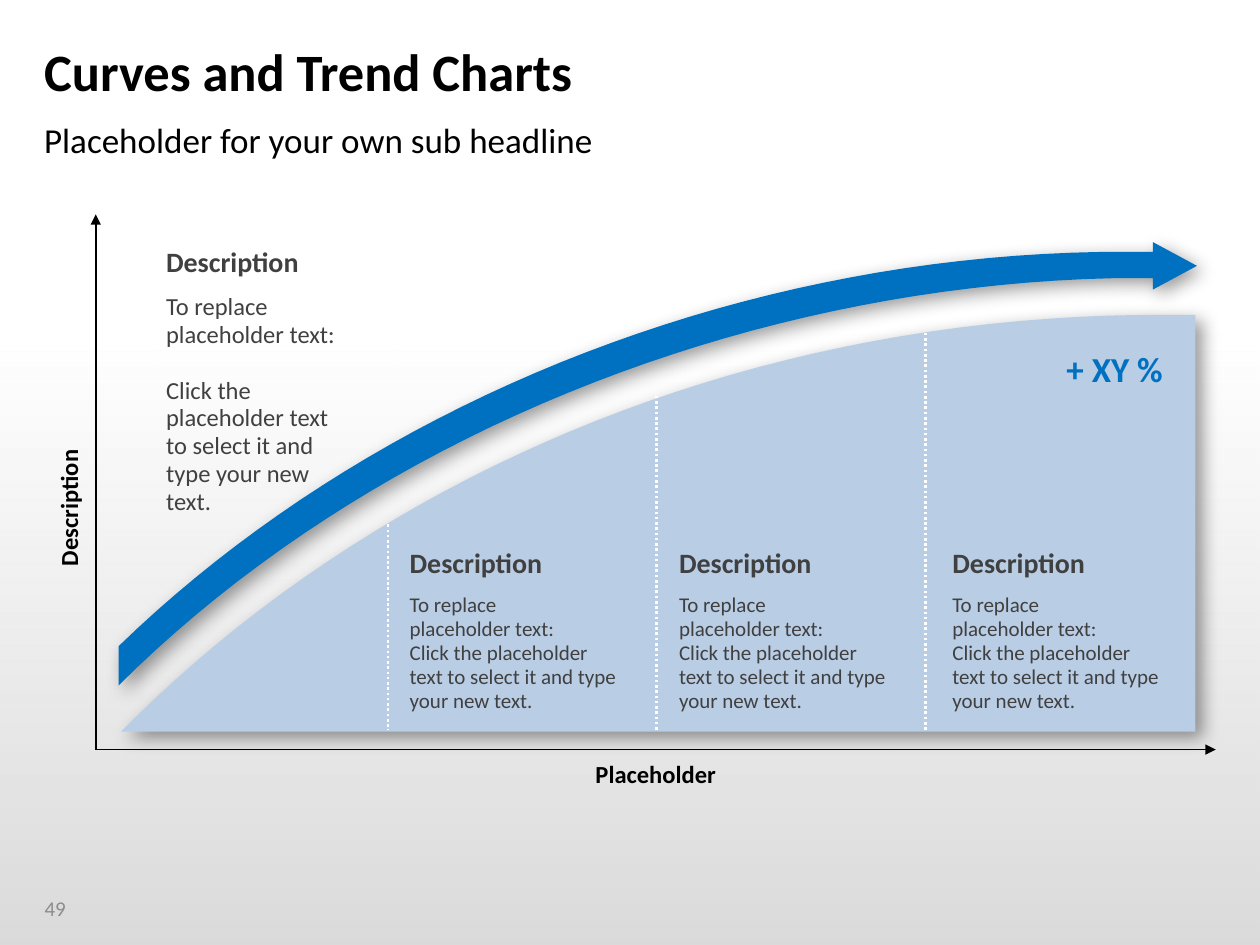
from copy import deepcopy
from dataclasses import dataclass

from lxml.etree import SubElement
from pptx import Presentation
from pptx.dml.color import RGBColor
from pptx.enum.dml import MSO_LINE
from pptx.enum.shapes import MSO_CONNECTOR, MSO_SHAPE
from pptx.enum.text import MSO_ANCHOR, MSO_AUTO_SIZE, PP_ALIGN
from pptx.oxml.ns import qn
from pptx.util import Cm, Pt


@dataclass(frozen=True)
class Theme:
    font: str = "Calibri"
    black: str = "000000"
    white: str = "FFFFFF"
    text: str = "404040"
    grey: str = "8C8C8C"
    blue: str = "0070C0"
    pale: str = "B9CDE5"
    title: int = 30
    sub: int = 20
    head: int = 16
    body: int = 14
    small: int = 12


THEME = Theme()
HINT = ("To replace \vplaceholder text: \v"
        "Click the placeholder text to select it and type your new text.")


def rgb(code):
    return RGBColor.from_string(code)


def write(frame, text, size=THEME.body, color=THEME.black, bold=False,
          align=PP_ALIGN.LEFT, space=0.95, after=8, first=True):
    """Write one paragraph with its format."""
    para = frame.paragraphs[0] if first else frame.add_paragraph()
    para.text = text
    para.alignment, para.line_spacing = align, space
    para.space_before, para.space_after = Pt(0), Pt(after)
    for run in para.runs:
        font = run.font
        font.name, font.size, font.bold = THEME.font, Pt(size), bold
        font.color.rgb = rgb(color)
    # Line breaks take the same format as the text around them
    for brk in para._p.findall(qn("a:br")):
        brk.insert(0, deepcopy(para.runs[0]._r.rPr))
    return para


def setup(shape, anchor=MSO_ANCHOR.MIDDLE):
    """Wrap the text of a shape and take away its margins."""
    frame = shape.text_frame
    frame.word_wrap, frame.auto_size = True, MSO_AUTO_SIZE.NONE
    frame.vertical_anchor = anchor
    frame.margin_left = frame.margin_right = 0
    frame.margin_top = frame.margin_bottom = 0
    return frame


def place(shape, left, top, width, height):
    shape.left, shape.top = Cm(left), Cm(top)
    shape.width, shape.height = Cm(width), Cm(height)


def label(slide, box, text, turn=0, **form):
    shape = slide.shapes.add_textbox(*map(Cm, box))
    shape.rotation = turn
    write(setup(shape), text, **form)


def note(slide, box, anchor, size):
    """Draw a heading with the hint below it."""
    frame = setup(slide.shapes.add_textbox(*map(Cm, box)), anchor)
    write(frame, "Description", size=THEME.head, color=THEME.text, bold=True)
    write(frame, HINT, size=size, color=THEME.text, first=False)


def bend(start, one, two, end, steps=40):
    """Return points along a cubic curve, without its start."""
    points = []
    for i in range(1, steps + 1):
        t = i / steps
        u = 1 - t
        mix = (u ** 3, 3 * u * u * t, 3 * u * t * t, t ** 3)
        points.append(tuple(sum(m * p[k] for m, p in
                                zip(mix, (start, one, two, end)))
                            for k in (0, 1)))
    return points


def free(slide, points, color):
    """Draw a filled outline with a soft shadow."""
    (x, y), *rest = [(Cm(a), Cm(b)) for a, b in points]
    pen = slide.shapes.build_freeform(x, y)
    pen.add_line_segments(rest, close=True)
    shape = pen.convert_to_shape()
    shape.fill.solid()
    shape.fill.fore_color.rgb = rgb(color)
    shape.line.fill.background()
    shape.shadow.inherit = False
    glow = shape._element.spPr.find(qn("a:effectLst"))
    drop = SubElement(glow, qn("a:outerShdw"), blurRad=str(Pt(10)),
                      dist=str(Pt(5)), dir="2700000", algn="tl",
                      rotWithShape="0")
    tint = SubElement(drop, qn("a:srgbClr"), val=THEME.black)
    SubElement(tint, qn("a:alpha"), val="40000")


def line(slide, start, end, color, width, dots=False, arrow=False):
    link = slide.shapes.add_connector(MSO_CONNECTOR.STRAIGHT,
                                      *map(Cm, start + end))
    link.line.color.rgb, link.line.width = rgb(color), Pt(width)
    if dots:
        link.line.dash_style = MSO_LINE.ROUND_DOT
    if arrow:
        SubElement(link.line._get_or_add_ln(), qn("a:tailEnd"),
                   type="triangle")
    SubElement(link._element.spPr, qn("a:effectLst"))


def shade(slide):
    """Fade the lower part of the slide to grey."""
    rect = slide.shapes.add_shape(MSO_SHAPE.RECTANGLE, 0, Cm(6.58),
                                  Cm(25.4), Cm(12.47))
    rect.shadow.inherit = False
    rect.line.fill.background()
    rect.fill.gradient()
    rect.fill.gradient_angle = 270
    for stop, alpha in zip(rect.fill.gradient_stops, (0, 15000)):
        stop.color.rgb = rgb(THEME.black)
        tint = stop._gs.find(qn("a:srgbClr"))
        SubElement(tint, qn("a:alpha"), val=str(alpha))


def heads(slide):
    """Fill the title and the sub headline."""
    title, body = slide.placeholders
    place(title, 0.89, 0.66, 23.6, 1.7)
    write(setup(title), "Curves and Trend Charts", size=THEME.title,
          bold=True, space=0.9, after=0)
    place(body, 0.89, 2.39, 23.6, 0.94)
    para = write(setup(body, MSO_ANCHOR.TOP),
                 "Placeholder for your own sub headline",
                 size=THEME.sub, space=1.0, after=0)
    props = para._p.get_or_add_pPr()
    props.set("marL", "0")
    props.set("indent", "0")
    SubElement(props, qn("a:buNone"))


def main():
    deck = Presentation()
    deck.slide_width, deck.slide_height = Cm(25.4), Cm(19.05)
    slide = deck.slides.add_slide(deck.slide_layouts[1])
    shade(slide)
    heads(slide)
    label(slide, (0.9, 17.83, 1.4, 1.02), "49", size=THEME.small,
          color=THEME.grey, after=0)

    # Axis labels
    label(slide, (1.93, 15.11, 22.58, 1.02), "Placeholder", bold=True,
          align=PP_ALIGN.CENTER)
    label(slide, (-3.51, 9.73, 9.83, 1.02), "Description", turn=270,
          bold=True, align=PP_ALIGN.CENTER)

    # Area under the curve
    top, foot = (22.99, 6.35), (2.44, 14.75)
    area = [(24.1, 14.75), (24.1, 6.35), top]
    area += bend(top, (14.76, 6.45), (7.44, 9.7), foot)
    free(slide, area, THEME.pale)

    # Curved arrow
    high, low = (22.17, 5.08), (2.39, 13.03)
    base, neck = (2.39, 13.82), (22.4, 5.61)
    arrow = [(24.13, 5.36), (23.24, 4.88), (23.24, 5.08), high]
    arrow += bend(high, (14.63, 5.21), (7.34, 8.23), low) + [base]
    arrow += bend(base, (7.37, 8.86), (14.88, 5.79), neck)
    arrow += [(23.24, 5.61), (23.24, 5.84)]
    free(slide, arrow, THEME.blue)

    # Notes
    note(slide, (3.35, 4.98, 3.51, 4.88), MSO_ANCHOR.TOP, THEME.body)
    for left in (8.26, 13.69, 19.2):
        note(slide, (left, 11, 4.24, 3.38), MSO_ANCHOR.BOTTOM, THEME.small)
    label(slide, (21.5, 7.06, 2.06, 0.81), "+ XY %", size=THEME.sub,
          color=THEME.blue, bold=True)

    # Axes and dividers
    for end in ((1.93, 4.32), (24.51, 15.11)):
        line(slide, (1.93, 15.11), end, THEME.black, 1, arrow=True)
    for i, rise in enumerate((10.57, 7.98, 6.71)):
        x = 7.82 + 5.42 * i
        line(slide, (x, rise), (x, 14.71), THEME.white, 1.5, dots=True)
    deck.save("out.pptx")


if __name__ == "__main__":
    main()
